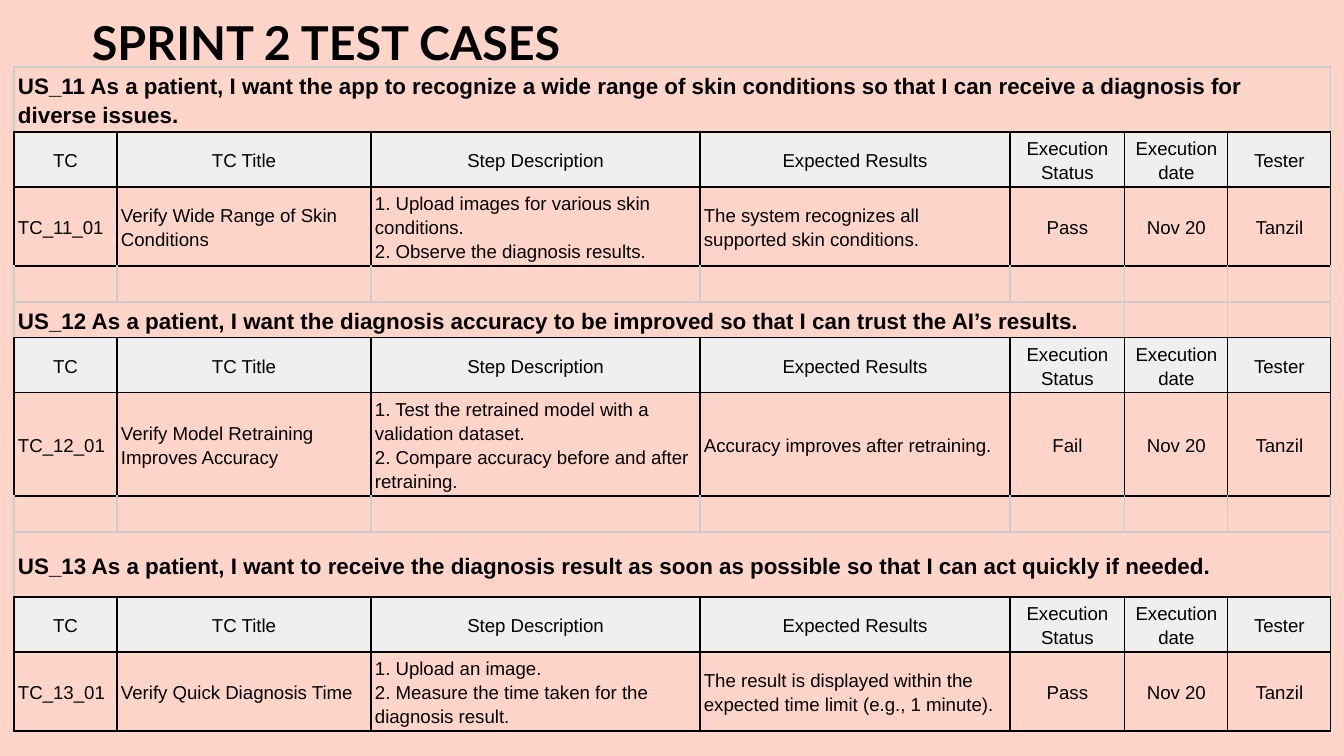
"""Build the sprint 2 test case slide."""
from dataclasses import dataclass

import lxml.etree
import pptx
import pptx.dml.color
import pptx.enum.text
import pptx.oxml.ns
import pptx.util

EMU_PER_PX = 9144000 / 1344
COLUMNS = [103, 254, 329, 310, 115, 103, 103]
BAND, HEADER, GAP = 65, 55, 36
HEADINGS = ["TC", "TC Title", "Step Description", "Expected Results",
            "Execution Status", "Execution date", "Tester"]
BLACK, GREY, HEADER_FILL, BACKGROUND = "000000", "CCCCCC", "EFEFEF", "FFD5CA"
LEFT = pptx.enum.text.PP_ALIGN.LEFT
CENTER = pptx.enum.text.PP_ALIGN.CENTER
MIDDLE = pptx.enum.text.MSO_ANCHOR.MIDDLE


@dataclass
class Story:
    text: str
    span: int
    height: int
    case: list[str]


@dataclass
class CellStyle:
    size: int = 10
    bold: bool = False
    align: pptx.enum.text.PP_ALIGN = LEFT
    fill: str | None = None
    sides: str = BLACK
    top: str = BLACK
    bottom: str = BLACK


STORIES = [
    Story("US_11 As a patient, I want the app to recognize a wide range of skin "
          "conditions so that I can receive a diagnosis for diverse issues.", 7, 79,
          ["TC_11_01", "Verify Wide Range of Skin Conditions",
           "1. Upload images for various skin conditions.\n2. Observe the diagnosis results.",
           "The system recognizes all supported skin conditions.",
           "Pass", "Nov 20", "Tanzil"]),
    Story("US_12 As a patient, I want the diagnosis accuracy to be improved so that "
          "I can trust the AI’s results.", 5, 103,
          ["TC_12_01", "Verify Model Retraining Improves Accuracy",
           "1. Test the retrained model with a validation dataset.\n"
           "2. Compare accuracy before and after retraining.",
           "Accuracy improves after retraining.", "Fail", "Nov 20", "Tanzil"]),
    Story("US_13 As a patient, I want to receive the diagnosis result as soon as "
          "possible so that I can act quickly if needed.", 7, 79,
          ["TC_13_01", "Verify Quick Diagnosis Time",
           "1. Upload an image.\n2. Measure the time taken for the diagnosis result.",
           "The result is displayed within the expected time limit (e.g., 1 minute).",
           "Pass", "Nov 20", "Tanzil"]),
]
STORY_STYLE = CellStyle(size=12, bold=True, sides=GREY, top=GREY)
HEADER_STYLE = CellStyle(align=CENTER, fill=HEADER_FILL)
GAP_STYLE = CellStyle(sides=GREY, bottom=GREY)


def px(value: int) -> pptx.util.Emu:
    """Turn pixels into EMU."""
    return pptx.util.Emu(round(value * EMU_PER_PX))


def rgb(color: str) -> pptx.dml.color.RGBColor:
    """Turn a hex string into a colour."""
    return pptx.dml.color.RGBColor.from_string(color)


def add_run(p, text: str, size: int, bold: bool, font: str) -> None:
    """Add one black run to a paragraph."""
    r = p.add_run()
    r.text = text
    r.font.size = pptx.util.Pt(size)
    r.font.bold = bold
    r.font.name = font
    r.font.color.rgb = rgb(BLACK)


def set_borders(cell, style: CellStyle) -> None:
    """Draw the four borders of a cell."""
    tc_pr = cell._tc.get_or_add_tcPr()
    qn = pptx.oxml.ns.qn
    edges = {"L": style.sides, "R": style.sides, "T": style.top, "B": style.bottom}
    for edge, color in edges.items():
        ln = lxml.etree.SubElement(tc_pr, qn(f"a:ln{edge}"), w=str(pptx.util.Pt(0.75)))
        fill = lxml.etree.SubElement(ln, qn("a:solidFill"))
        lxml.etree.SubElement(fill, qn("a:srgbClr"), val=color)


def fill_cell(cell, text: str, style: CellStyle) -> None:
    """Style one table cell and write its lines."""
    set_borders(cell, style)
    if style.fill:
        cell.fill.solid()
        cell.fill.fore_color.rgb = rgb(style.fill)
    else:
        cell.fill.background()
    cell.vertical_anchor = MIDDLE
    cell.margin_left = cell.margin_right = px(4)
    cell.margin_top = cell.margin_bottom = px(0)
    tf = cell.text_frame
    for i, line in enumerate(text.split("\n")):
        p = tf.add_paragraph() if i else tf.paragraphs[0]
        p.alignment = style.align
        if line:
            p.line_spacing = 1.15
            add_run(p, line, style.size, style.bold, "Arial")
        else:
            lxml.etree.SubElement(p._p, pptx.oxml.ns.qn("a:endParaRPr"),
                                  sz=str(style.size * 100))


def fill_row(table, row: int, height: int, texts: list[str],
             styles: list[CellStyle]) -> None:
    """Set the height and cells of one row."""
    table.rows[row].height = px(height)
    for col, (text, style) in enumerate(zip(texts, styles)):
        fill_cell(table.cell(row, col), text, style)


def add_title(slide, text: str) -> None:
    """Add the slide title."""
    sp = slide.shapes.add_textbox(px(79), px(1), px(1133), px(84))
    tf = sp.text_frame
    tf.word_wrap = True
    tf.margin_left = tf.margin_right = tf.margin_top = tf.margin_bottom = px(13)
    add_run(tf.paragraphs[0], text, 25, True, "Lato")


def add_test_table(slide, stories: list[Story]) -> None:
    """Add the table with a story, header and case row for each story."""
    count = len(COLUMNS)
    case_styles = [CellStyle()] * 4 + [CellStyle(align=CENTER)] * 3
    heights = [GAP if s.span < count else BAND for s in stories]
    total = sum(heights) + sum(HEADER + s.height + GAP for s in stories) - GAP
    table = slide.shapes.add_table(4 * len(stories) - 1, count, px(14), px(67),
                                   px(sum(COLUMNS)), px(total)).table
    table.first_row = table.horz_banding = False
    for column, width in zip(table.columns, COLUMNS):
        column.width = px(width)
    blanks = [""] * count
    for i, (story, height) in enumerate(zip(stories, heights)):
        row = 4 * i
        if i:
            fill_row(table, row - 1, GAP, blanks, [GAP_STYLE] * count)
        fill_row(table, row, height, [story.text] + blanks[1:], [STORY_STYLE] * count)
        table.cell(row, 0).merge(table.cell(row, story.span - 1))
        fill_row(table, row + 1, HEADER, HEADINGS, [HEADER_STYLE] * count)
        fill_row(table, row + 2, story.height, story.case, case_styles)


def main() -> None:
    """Build and save the slide."""
    prs = pptx.Presentation()
    prs.slide_width, prs.slide_height = px(1344), px(756)
    slide = prs.slides.add_slide(prs.slide_layouts[6])
    slide.background.fill.solid()
    slide.background.fill.fore_color.rgb = rgb(BACKGROUND)
    add_title(slide, "SPRINT 2 TEST CASES")
    add_test_table(slide, STORIES)
    prs.save("out.pptx")


if __name__ == "__main__":
    main()
